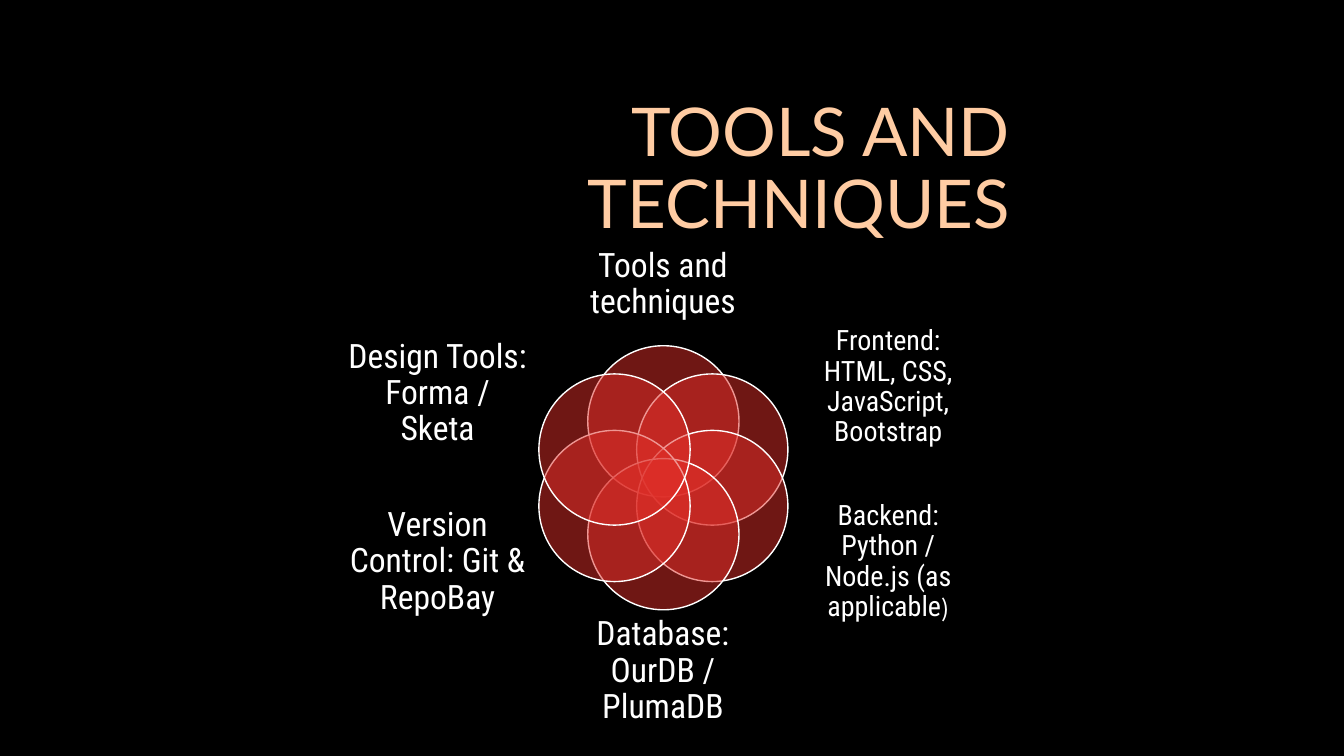
"""Build the tools and techniques slide: six labelled, overlapping circles."""
from math import cos, radians, sin

from lxml.etree import SubElement
from pptx import Presentation
from pptx.dml.color import RGBColor
from pptx.enum.shapes import MSO_SHAPE
from pptx.enum.text import MSO_ANCHOR, MSO_AUTO_SIZE, PP_ALIGN
from pptx.oxml.ns import qn
from pptx.util import Inches, Pt

THEME = {
    "back": RGBColor.from_string("000000"),
    "title": RGBColor.from_string("FFCCA3"),
    "petal": RGBColor.from_string("DF2E28"),
    "light": RGBColor.from_string("FFFFFF"),
    "head": Pt(48),
    "large": Pt(24),
    "small": Pt(20),
    "tiny": Pt(19),
    "sans": "Lato",
    "label": "Roboto Condensed",
    "mark": "League Spartan",
}


def write(frame, runs, color, align):
    frame.word_wrap = True
    frame.auto_size = MSO_AUTO_SIZE.NONE
    frame.vertical_anchor = MSO_ANCHOR.MIDDLE
    para = frame.paragraphs[0]
    para.alignment = align
    para.line_spacing = 0.9
    for text, size, font in runs:
        run = para.add_run()
        run.text = text
        run.font.size = THEME[size]
        run.font.name = THEME[font]
        run.font.color.rgb = THEME[color]


deck = Presentation()
deck.slide_width, deck.slide_height = Inches(13.33), Inches(7.5)
slide = deck.slides.add_slide(deck.slide_layouts[5])
slide.background.fill.solid()
slide.background.fill.fore_color.rgb = THEME["back"]

title = slide.shapes.title
title.left, title.top = Inches(2.38), Inches(0.99)
title.width, title.height = Inches(7.74), Inches(1.41)
write(title.text_frame, [("TOOLS AND TECHNIQUES", "head", "sans")],
      "title", PP_ALIGN.RIGHT)

LEFT, RIGHT = 3.45, 7.92
UPPER, LOWER = 3.28, 4.95
SIDE = 1.78
labels = [
    ((5.65, 2.34, 1.85, 0.96),
     [("Tools and techniques", "large", "label")]),
    ((RIGHT, UPPER, SIDE, 1.12),
     [("Frontend: HTML, CSS, JavaScript, Bootstrap", "small", "label")]),
    ((RIGHT, LOWER, SIDE, 1.25),
     [("Backend: Python / Node.js (as applicable", "small", "label"),
      (")", "tiny", "mark")]),
    ((5.64, 6.15, 1.87, 1.02),
     [("Database: OurDB / PlumaDB", "large", "label")]),
    ((LEFT, LOWER, SIDE, 1.25),
     [("Version Control: Git & RepoBay", "large", "label")]),
    ((LEFT, UPPER, SIDE, 1.25),
     [("Design Tools: Forma / Sketa", "large", "label")]),
]

MID_X, MID_Y = 6.58, 4.74
ORBIT, SIZE = 0.56, 1.5
venn = slide.shapes.add_group_shape().shapes
for step, (box, runs) in enumerate(labels):
    angle = radians(60 * step - 90)
    petal = venn.add_shape(
        MSO_SHAPE.OVAL,
        Inches(MID_X + ORBIT * cos(angle) - SIZE / 2),
        Inches(MID_Y + ORBIT * sin(angle) - SIZE / 2),
        Inches(SIZE), Inches(SIZE))
    petal.shadow.inherit = False
    petal.fill.solid()
    petal.fill.fore_color.rgb = THEME["petal"]
    tint = petal.element.spPr.find(".//" + qn("a:srgbClr"))
    SubElement(tint, qn("a:alpha"), val="50000")
    petal.line.color.rgb = THEME["light"]
    petal.line.width = Pt(1)

    frame = venn.add_textbox(*map(Inches, box)).text_frame
    frame.margin_left = frame.margin_right = 0
    frame.margin_top = frame.margin_bottom = 0
    write(frame, runs, "light", PP_ALIGN.CENTER)

deck.save("out.pptx")
